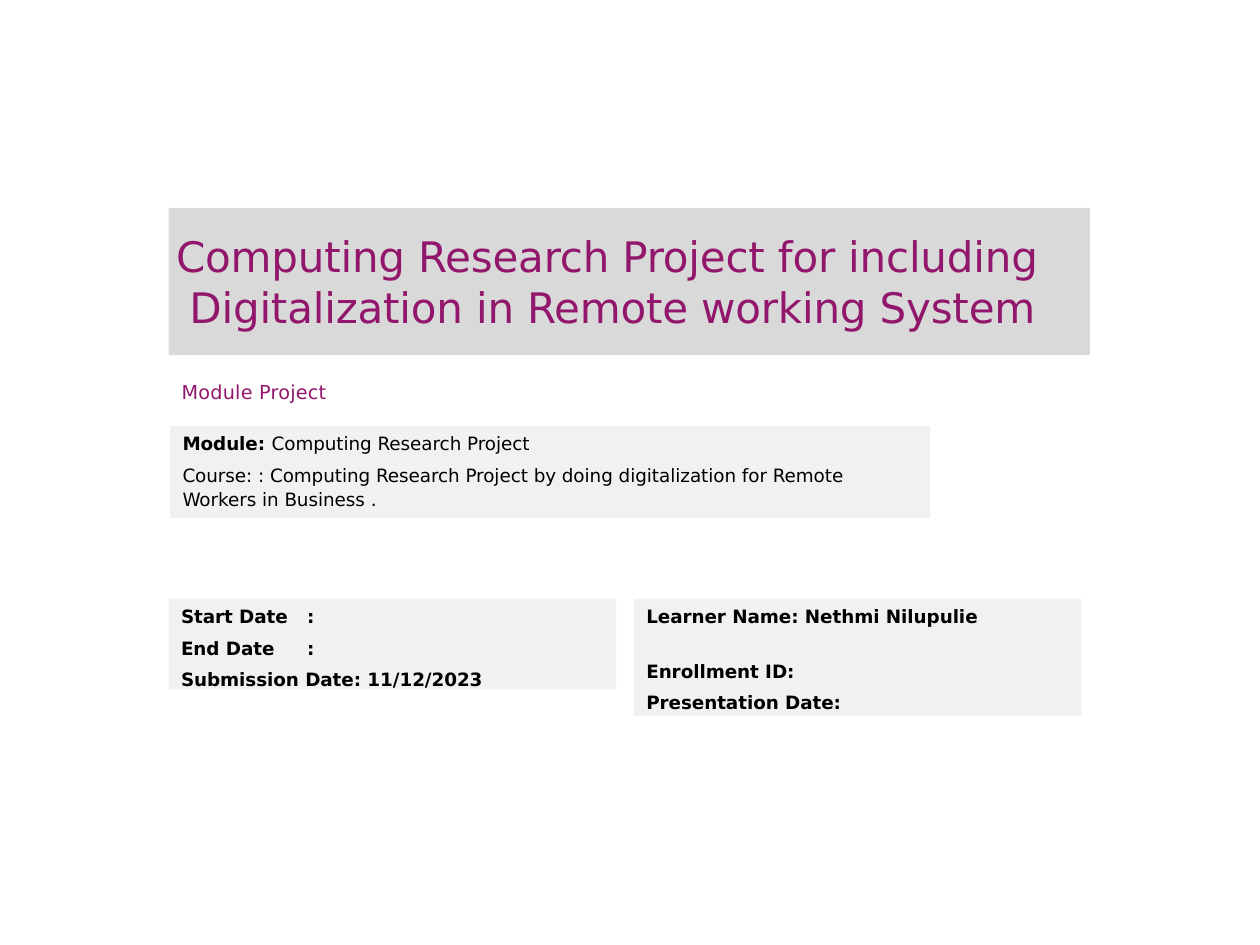
from dataclasses import dataclass
from lxml import etree
from pptx import Presentation
from pptx.dml.color import RGBColor as RGB
from pptx.enum.shapes import MSO_SHAPE as SHAPE
from pptx.enum.text import MSO_ANCHOR as ANCHOR, PP_ALIGN as ALIGN
from pptx.oxml.ns import qn
from pptx.util import Cm, Pt


@dataclass(frozen=True)
class Theme:
    font: str = "DejaVu Sans"
    purple: RGB = RGB(0x92, 0x17, 0x6C)
    black: RGB = RGB(0, 0, 0)
    banner: RGB = RGB(0xD9, 0xD9, 0xD9)
    panel: RGB = RGB(0xF1, 0xF1, 0xF1)
    title: float = 24
    label: float = 11
    body: float = 10.5


T = Theme()


def add_box(s, place, fill, inset_top):
    """Add a rectangle, or a plain text box when fill is None."""
    place = [Cm(v) for v in place]
    if fill is None:
        sp = s.shapes.add_textbox(*place)
    else:
        sp = s.shapes.add_shape(SHAPE.RECTANGLE, *place)
        sp.shadow.inherit = False
        sp.fill.solid()
        sp.fill.fore_color.rgb = fill
        sp.line.fill.background()
    tf = sp.text_frame
    frame = dict(word_wrap=fill is not None, vertical_anchor=ANCHOR.TOP,
                 margin_left=0, margin_right=0, margin_bottom=0,
                 margin_top=Cm(inset_top))
    for name, value in frame.items():
        setattr(tf, name, value)
    return tf


def add_text(p, runs, size, color, left=0.25, first=0, tab=None, spacing=0, **layout):
    """Write (text, bold) runs; a newline in a text is a line break."""
    pPr = p._p.get_or_add_pPr()
    pPr.set("marL", str(Cm(left)))
    pPr.set("indent", str(Cm(first)))
    if tab:
        tabs = etree.SubElement(pPr, qn("a:tabLst"))
        etree.SubElement(tabs, qn("a:tab"), pos=str(Cm(tab)), algn="l")
    for name, value in dict(alignment=ALIGN.LEFT, **layout).items():
        setattr(p, name, value)
    for text, bold in runs:
        for i, line in enumerate(text.split("\n")):
            if i:
                p.add_line_break()
            r = p.add_run()
            r.text = line
            look = dict(name=T.font, size=Pt(size), bold=bold)
            for name, value in look.items():
                setattr(r.font, name, value)
            r.font.color.rgb = color
            if spacing:
                r._r.get_or_add_rPr().set("spc", str(spacing))


prs = Presentation()
prs.slide_width, prs.slide_height = Cm(25.4), Cm(19.05)
s = prs.slides.add_slide(prs.slide_layouts[6])

tf = add_box(s, (3.4, 4.19, 18.57, 2.97), T.banner, 0.46)
title = "Computing Research Project for including\nDigitalization in Remote working System"
add_text(tf.paragraphs[0], [(title, False)], T.title, T.purple,
         left=0.42, first=-0.27, spacing=-10)

tf = add_box(s, (3.63, 7.62, 3.02, 0.56), None, 0.05)
add_text(tf.paragraphs[0], [("Module Project", False)], T.label, T.purple,
         left=0.03, spacing=10)

course = ("Course: : Computing Research Project by doing digitalization for Remote\n"
          "Workers in Business .")
row = dict(tab=2.79)
later_row = dict(row, space_before=Pt(5.4))
panels = [
    ((3.4, 12.07, 9.02, 1.83), [
        ([("Start Date\t:", True)], row),
        ([("End Date\t:", True)], later_row),
        ([("Submission Date: 11/12/2023", True)], later_row),
    ]),
    ((3.43, 8.59, 15.32, 1.85), [
        ([("Module: ", True), ("Computing Research Project", False)], {}),
        ([(course, False)], dict(space_before=Pt(4.1), line_spacing=1.1)),
    ]),
    ((12.78, 12.07, 9.02, 2.36), [
        ([("Learner Name: Nethmi Nilupulie", True)], {}),
        ([("Enrollment ID:\nPresentation Date:", True)],
         dict(space_before=Pt(13.4), line_spacing=1.43)),
    ]),
]
for place, paragraphs in panels:
    tf = add_box(s, place, T.panel, 0.13)
    for i, (runs, layout) in enumerate(paragraphs):
        p = tf.add_paragraph() if i else tf.paragraphs[0]
        add_text(p, runs, T.body, T.black, **layout)

prs.save("out.pptx")
